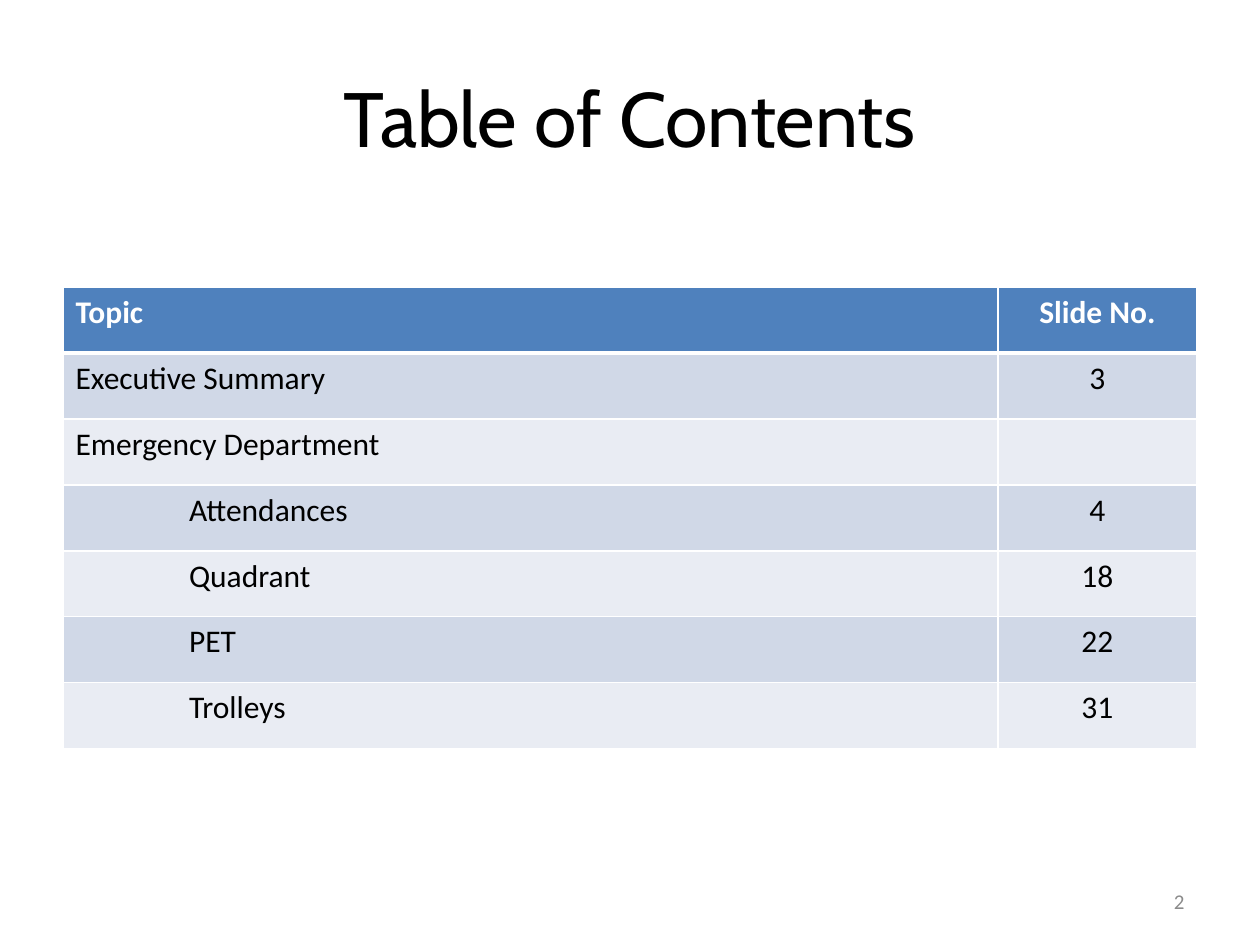
from lxml import etree
from pptx import Presentation
from pptx import util as u
from pptx.dml.color import RGBColor
from pptx.enum import text
from pptx.oxml.ns import qn

INK = {"black": "000000", "white": "FFFFFF", "grey": "8B8B8B",
       "head": "4F81BD", "dark": "D0D8E7", "light": "E9ECF3"}
ALIGN = text.PP_ALIGN
TOPICS = [  # topic, slide number, indent level
    ("Topic", "Slide No.", 0),
    ("Executive Summary", "3", 0),
    ("Emergency Department", "", 0),
    ("Attendances", "4", 1),
    ("Quadrant", "18", 1),
    ("PET", "22", 1),
    ("Trolleys", "31", 1),
]


def write(frame, words, size=18, font="Calibri", ink="black", bold=False,
          align=ALIGN.LEFT, indent=0):
    para = frame.paragraphs[0]
    para.alignment = align
    if indent:
        para._p.get_or_add_pPr().set("marL", str(u.Inches(indent)))
    para.font.size = u.Pt(size)
    if words:
        run = para.add_run()
        run.text = words
        run.font.size = u.Pt(size)
        run.font.name = font
        run.font.bold = bold
        run.font.color.rgb = RGBColor.from_string(INK[ink])


def label(slide, box, words, **style):
    frame = slide.shapes.add_textbox(*map(u.Inches, box)).text_frame
    frame.word_wrap = True
    frame.vertical_anchor = text.MSO_ANCHOR.MIDDLE
    write(frame, words, **style)


def edge(cell, side, width):
    """Draw a white border on one side: L, R, T or B."""
    line = etree.SubElement(cell._tc.get_or_add_tcPr(), qn("a:ln" + side),
                            w=str(u.Pt(width)))
    fill = etree.SubElement(line, qn("a:solidFill"))
    etree.SubElement(fill, qn("a:srgbClr"), val=INK["white"])


def contents(slide, box, split=7.42):
    left, top, width, height = box
    count = len(TOPICS)
    table = slide.shapes.add_table(count, 2, *map(u.Inches, box)).table
    for col, wide in zip(table.columns, (split, width - split)):
        col.width = u.Inches(wide)
    for r, (topic, page, level) in enumerate(TOPICS):
        table.rows[r].height = u.Inches(height / count)
        band = "head" if r == 0 else "dark" if r % 2 else "light"
        for c, words in enumerate((topic, page)):
            cell = table.cell(r, c)
            for side in "LRTB":
                thick = (r, side) in ((0, "B"), (1, "T"))
                edge(cell, side, 3 if thick else 1)
            cell.fill.solid()
            cell.fill.fore_color.rgb = RGBColor.from_string(INK[band])
            write(cell.text_frame, words, bold=r == 0,
                  ink="black" if r else "white",
                  align=ALIGN.CENTER if c else ALIGN.LEFT,
                  indent=0 if c else 0.9 * level)


def main():
    deck = Presentation()
    deck.slide_width, deck.slide_height = u.Inches(10), u.Inches(7.5)
    slide = deck.slides.add_slide(deck.slide_layouts[6])
    label(slide, (0.5, 0.3, 9, 1.25), "Table of Contents",
          size=44, font="Cabin", align=ALIGN.CENTER)
    contents(slide, (0.5, 2.28, 9, 3.66))
    label(slide, (7.17, 6.95, 2.33, 0.4), "2",
          size=12, ink="grey", align=ALIGN.RIGHT)
    deck.save("out.pptx")


if __name__ == "__main__":
    main()
